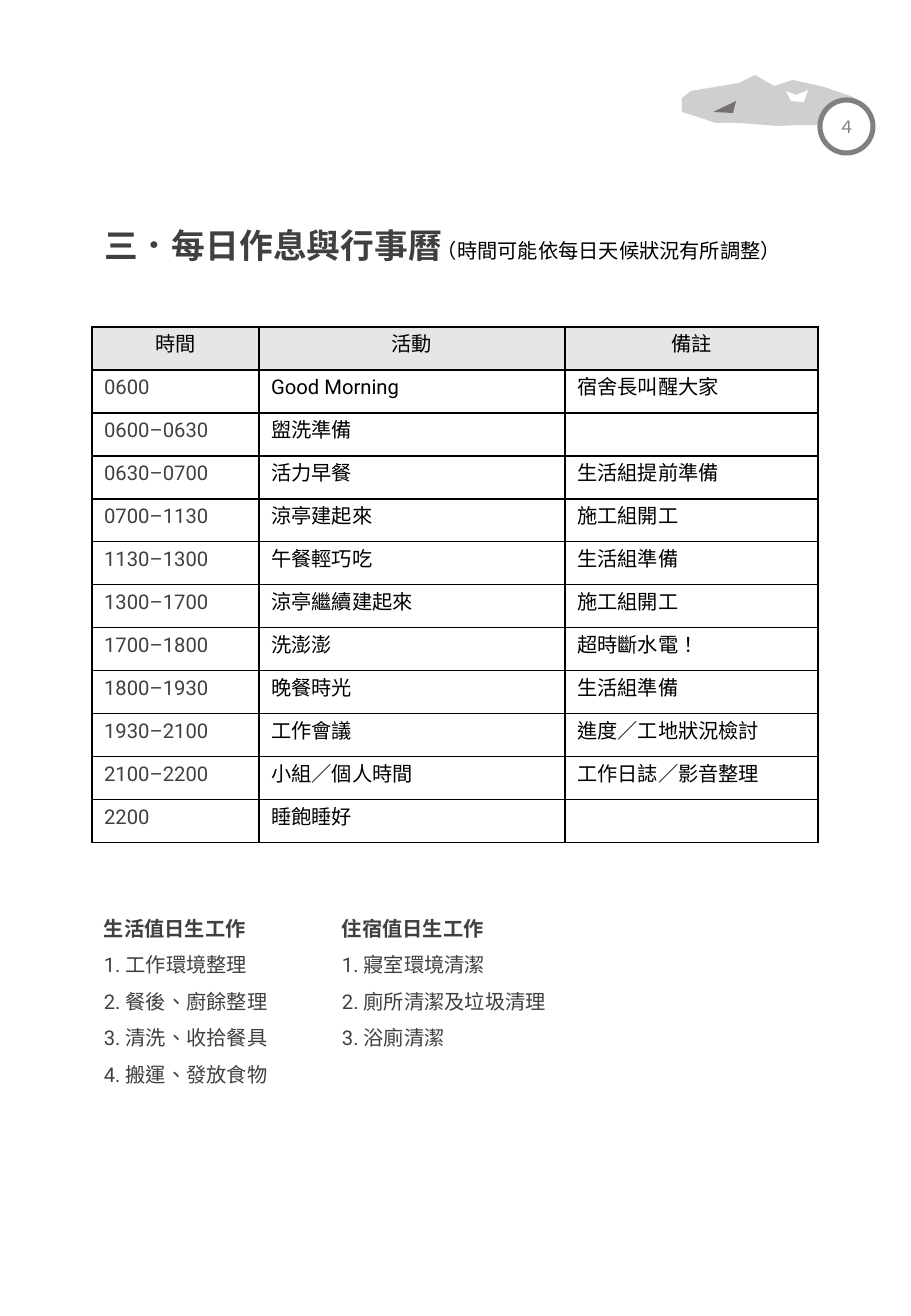
from dataclasses import dataclass

from lxml.etree import SubElement
from pptx import Presentation
from pptx.dml.color import RGBColor
from pptx.enum.shapes import MSO_SHAPE as Shape
from pptx.enum.text import MSO_ANCHOR as Anchor, MSO_AUTO_SIZE as AutoSize, PP_ALIGN as Align
from pptx.oxml import parse_xml
from pptx.oxml.ns import nsdecls, qn
from pptx.util import Pt

PX = 7526


@dataclass(frozen=True)
class Theme:
    font: str = "Roboto"
    language: str = "zh-TW"
    ink: str = "000000"
    soft_ink: str = "404040"
    paper: str = "FFFFFF"
    header: str = "E7E6E6"
    badge: str = "808080"
    rock: str = "D0CECE"
    rock_shade: str = "767171"
    title_size: int = 20
    body_size: int = 12
    badge_size: int = 10
    border_width: int = 1
    badge_width: int = 3
    list_spacing: float = 1.5


class Page:
    def __init__(self, slide, theme):
        self.slide = slide
        self.theme = theme

    def place(self, shape, box):
        shape.left, shape.top, shape.width, shape.height = (side * PX for side in box)

    def style(self, paragraph, color, size=None, bold=False, align=Align.LEFT):
        size = size or self.theme.body_size
        paragraph.alignment = align
        for run in paragraph.runs:
            run.font.name = self.theme.font
            run.font.size = Pt(size)
            run.font.bold = bold
            run.font.color.rgb = RGBColor.from_string(color)
            properties = run._r.get_or_add_rPr()
            properties.set("lang", self.theme.language)
            SubElement(properties, qn("a:ea"), typeface=self.theme.font)
        if not paragraph.runs:
            SubElement(paragraph._p, qn("a:endParaRPr"),
                       lang=self.theme.language, sz=str(size * 100))

    def fit(self, frame, wrap):
        frame.word_wrap = wrap
        frame.auto_size = AutoSize.SHAPE_TO_FIT_TEXT
        frame.vertical_anchor = Anchor.TOP

    def title(self, text, box):
        heading = self.slide.shapes.title
        self.place(heading, box)
        heading.text_frame.text = text
        self.fit(heading.text_frame, False)
        self.style(heading.text_frame.paragraphs[0], self.theme.soft_ink,
                   self.theme.title_size, bold=True)

    def text_box(self, text, box, wrap):
        frame = self.slide.shapes.add_textbox(*(side * PX for side in box)).text_frame
        frame.text = text
        self.fit(frame, wrap)
        return frame

    def note(self, text, box):
        frame = self.text_box(text, box, False)
        self.style(frame.paragraphs[0], self.theme.ink)

    def duties(self, heading, tasks, box):
        numbered = [f"{number}. {task}" for number, task in enumerate(tasks, 1)]
        frame = self.text_box("\n".join([heading] + numbered), box, True)
        for index, paragraph in enumerate(frame.paragraphs):
            paragraph.line_spacing = self.theme.list_spacing
            self.style(paragraph, self.theme.soft_ink, bold=index == 0)

    def rock(self, facets):
        group = self.slide.shapes.add_group_shape()
        for color, points in facets:
            builder = group.shapes.build_freeform(*points[0], scale=PX)
            builder.add_line_segments(points[1:], close=True)
            facet = builder.convert_to_shape()
            facet.shadow.inherit = False
            facet.fill.solid()
            facet.fill.fore_color.rgb = RGBColor.from_string(color)
            facet.line.fill.background()

    def page_badge(self, text, box):
        theme = self.theme
        badge = self.slide.shapes.add_shape(Shape.OVAL, *(side * PX for side in box))
        badge.shadow.inherit = False
        badge.fill.solid()
        badge.fill.fore_color.rgb = RGBColor.from_string(theme.paper)
        badge.line.color.rgb = RGBColor.from_string(theme.badge)
        badge.line.width = Pt(theme.badge_width)
        frame = badge.text_frame
        frame.margin_left = frame.margin_right = 0
        frame.vertical_anchor = Anchor.MIDDLE
        frame.text = text
        self.style(frame.paragraphs[0], theme.badge, theme.badge_size, align=Align.CENTER)

    def borders(self, cell):
        properties = cell._tc.get_or_add_tcPr()
        for index, edge in enumerate(("lnL", "lnR", "lnT", "lnB")):
            properties.insert(index, parse_xml(
                f'<a:{edge} {nsdecls("a")} w="{Pt(self.theme.border_width)}"><a:solidFill>'
                f'<a:srgbClr val="{self.theme.ink}"/></a:solidFill></a:{edge}>'))

    def timetable(self, rows, left, top, column_widths, row_height):
        theme = self.theme
        table = self.slide.shapes.add_table(
            len(rows), len(column_widths), left * PX, top * PX,
            sum(column_widths) * PX, len(rows) * row_height * PX).table
        table.first_row = table.horz_banding = False
        for column, width in zip(table.columns, column_widths):
            column.width = width * PX
        for row_index, (row, texts) in enumerate(zip(table.rows, rows)):
            row.height = row_height * PX
            is_header = row_index == 0
            for column_index, (cell, text) in enumerate(zip(row.cells, texts)):
                cell.text_frame.text = text
                is_time = column_index == 0 and not is_header
                self.style(cell.text_frame.paragraphs[0],
                           theme.soft_ink if is_time else theme.ink,
                           align=Align.CENTER if is_header else Align.LEFT)
                if is_header:
                    cell.fill.solid()
                    cell.fill.fore_color.rgb = RGBColor.from_string(theme.header)
                else:
                    cell.fill.background()
                self.borders(cell)


SCHEDULE = [
    ("時間", "活動", "備註"),
    ("0600", "Good Morning", "宿舍長叫醒大家"),
    ("0600–0630", "盥洗準備", ""),
    ("0630–0700", "活力早餐", "生活組提前準備"),
    ("0700–1130", "涼亭建起來", "施工組開工"),
    ("1130–1300", "午餐輕巧吃", "生活組準備"),
    ("1300–1700", "涼亭繼續建起來", "施工組開工"),
    ("1700–1800", "洗澎澎", "超時斷水電！"),
    ("1800–1930", "晚餐時光", "生活組準備"),
    ("1930–2100", "工作會議", "進度／工地狀況檢討"),
    ("2100–2200", "小組／個人時間", "工作日誌／影音整理"),
    ("2200", "睡飽睡好", ""),
]
LIVING_DUTIES = ["工作環境整理", "餐後、廚餘整理", "清洗、收拾餐具", "搬運、發放食物"]
LODGING_DUTIES = ["寢室環境清潔", "廁所清潔及垃圾清理", "浴廁清潔"]
ROCK_BODY = [(691, 91), (739, 83), (755, 75), (774, 86), (793, 80), (824, 87),
             (853, 97), (870, 109), (869, 121), (841, 125), (802, 125), (778, 126),
             (740, 123), (716, 123), (682, 112), (682, 98)]
ROCK_LIGHT = [(796, 95), (808, 90), (804, 102), (791, 101), (786, 91)]
ROCK_DARK = [(713, 112), (736, 101), (733, 113)]


def main():
    deck = Presentation()
    deck.slide_width, deck.slide_height = 911 * PX, 1316 * PX
    theme = Theme()
    page = Page(deck.slides.add_slide(deck.slide_layouts[5]), theme)
    page.title("三．每日作息與行事曆", (92, 219, 366, 53))
    page.rock([(theme.rock, ROCK_BODY), (theme.paper, ROCK_LIGHT),
               (theme.rock_shade, ROCK_DARK)])
    page.timetable(SCHEDULE, 92, 327, (167, 306, 253), 43)
    page.duties("生活值日生工作", LIVING_DUTIES, (92, 898, 287, 197))
    page.duties("住宿值日生工作", LODGING_DUTIES, (330, 898, 328, 159))
    page.page_badge("４", (820, 100, 53, 53))
    page.note("（時間可能依每日天候狀況有所調整）", (425, 232, 372, 36))
    deck.save("out.pptx")


if __name__ == "__main__":
    main()
